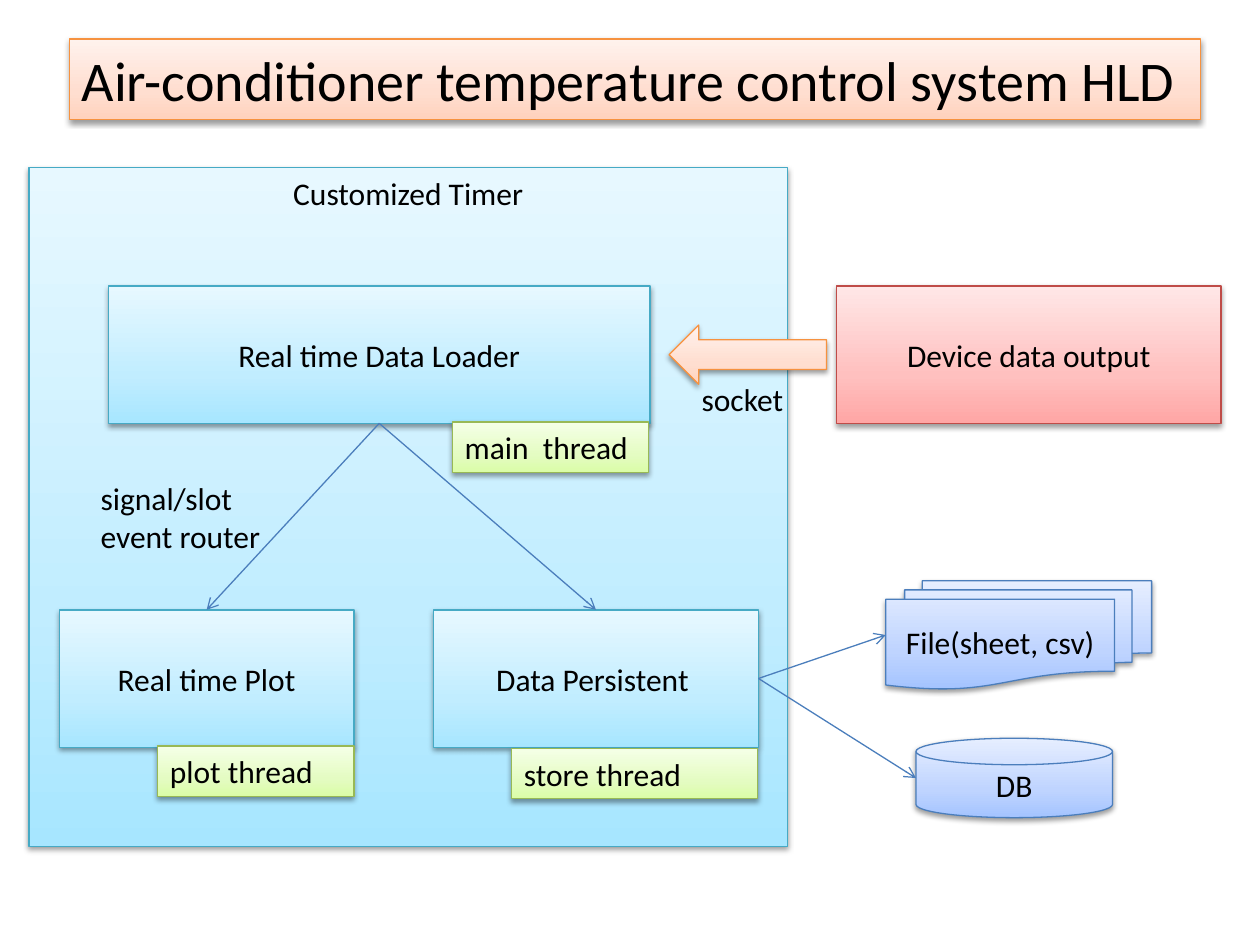
"""Build the high-level design slide of a temperature control system."""
from copy import deepcopy
from typing import NamedTuple

from lxml.etree import SubElement
from pptx import Presentation
from pptx.dml.color import RGBColor
from pptx.enum.shapes import MSO_CONNECTOR as Connector, MSO_SHAPE as Shape
from pptx.enum.text import MSO_ANCHOR as Anchor, PP_ALIGN as Align
from pptx.oxml.ns import qn
from pptx.util import Inches, Pt


class Theme(NamedTuple):
    line: str
    stops: tuple[str, str, str]


class Node(NamedTuple):
    left: float
    top: float
    width: float
    height: float
    theme: Theme | None
    text: str = ""
    kind: Shape = Shape.RECTANGLE
    centred: bool = True
    anchor: Anchor = Anchor.MIDDLE
    size: int = 18


AQUA = Theme("46AAC5", ("A7E6FF", "C1EDFF", "E7F8FF"))
RED = Theme("BF4C48", ("FFA6A5", "FFC0BF", "FFE7E7"))
ORANGE = Theme("F69240", ("FFD2BD", "FFDED0", "FFF2ED"))
GREEN = Theme("98B955", ("DAFDA7", "E4FCC2", "F5FFE7"))
BLUE = Theme("4B7EBC", ("A4C4FF", "BFD4FF", "E6EEFF"))
STOP_POSITIONS = (0, 0.35, 1)


def colour(value: str) -> RGBColor:
    return RGBColor.from_string(value)


def label(left: float, top: float, width: float, height: float, text: str,
          theme: Theme | None = GREEN, size: int = 18) -> Node:
    return Node(left, top, width, height, theme, text, centred=False, anchor=Anchor.TOP, size=size)


def paint(shape, theme: Theme) -> None:
    shape.fill.gradient()
    shape.fill.gradient_angle = 90
    stop_list = shape.element.spPr.find(".//" + qn("a:gsLst"))
    stop_list.append(deepcopy(stop_list[0]))
    for stop, position, value in zip(shape.fill.gradient_stops, STOP_POSITIONS, theme.stops):
        stop.position = position
        stop.color.rgb = colour(value)
    shape.line.color.rgb = colour(theme.line)
    shape.line.width = Pt(0.75)
    shape.shadow.inherit = False
    effects = shape.element.spPr.find(qn("a:effectLst"))
    shadow = SubElement(effects, qn("a:outerShdw"), blurRad=str(Pt(3.1)), dist=str(Pt(1.6)),
                        dir="5400000", rotWithShape="0")
    black = SubElement(shadow, qn("a:srgbClr"), val="000000")
    SubElement(black, qn("a:alpha"), val="38000")


def draw_node(page, node: Node) -> None:
    bounds = [Inches(length) for length in node[:4]]
    if node.theme:
        box = page.shapes.add_shape(node.kind, *bounds)
        paint(box, node.theme)
    else:
        box = page.shapes.add_textbox(*bounds)
    frame = box.text_frame
    frame.word_wrap = True
    frame.vertical_anchor = node.anchor
    frame.text = node.text
    for para in frame.paragraphs:
        para.alignment = Align.CENTER if node.centred else Align.LEFT
        para.font.name = "Calibri"
        para.font.size = Pt(node.size)
        para.font.color.rgb = colour("000000")


def draw_arrow(page, start: tuple[float, float], end: tuple[float, float]) -> None:
    points = [Inches(length) for length in (*start, *end)]
    arrow = page.shapes.add_connector(Connector.STRAIGHT, *points)
    arrow.line.color.rgb = colour(BLUE.line)
    arrow.line.width = Pt(0.75)
    properties = arrow.element.spPr
    SubElement(properties.find(qn("a:ln")), qn("a:tailEnd"), type="arrow")
    SubElement(properties, qn("a:effectLst"))


def top_of(node: Node) -> tuple[float, float]:
    return node.left + node.width / 2, node.top


def bottom_of(node: Node) -> tuple[float, float]:
    return node.left + node.width / 2, node.top + node.height


def left_of(node: Node) -> tuple[float, float]:
    return node.left, node.top + node.height / 2


def right_of(node: Node) -> tuple[float, float]:
    return node.left + node.width, node.top + node.height / 2


def main() -> None:
    deck = Presentation()
    deck.slide_width, deck.slide_height = Inches(10), Inches(7.5)
    page = deck.slides.add_slide(deck.slide_layouts[6])

    timer = Node(0.23, 1.33, 6.02, 5.39, AQUA, "Customized Timer", anchor=Anchor.TOP)
    loader = Node(0.86, 2.27, 4.3, 1.09, AQUA, "Real time Data Loader")
    plot = Node(0.47, 4.84, 2.34, 1.09, AQUA, "Real time Plot")
    store = Node(3.44, 4.84, 2.58, 1.09, AQUA, "Data Persistent ")
    device = Node(6.64, 2.27, 3.05, 1.09, RED, "Device data output")
    socket = Node(5.31, 2.58, 1.25, 0.47, ORANGE, kind=Shape.LEFT_ARROW)
    files = Node(7.03, 4.61, 2.11, 0.86, BLUE, "File(sheet, csv)", Shape.FLOWCHART_MULTIDOCUMENT)
    database = Node(7.27, 5.86, 1.56, 0.63, BLUE, "DB", Shape.FLOWCHART_MAGNETIC_DISK)
    labels = (
        label(0.7, 3.75, 1.72, 0.71, "signal/slot\nevent router", None),
        label(3.59, 3.35, 1.56, 0.4, "main  thread"),
        label(1.25, 5.92, 1.56, 0.4, "plot thread"),
        label(4.06, 5.94, 1.95, 0.4, "store thread"),
        label(5.47, 2.97, 0.86, 0.4, "socket", None),
        label(0.55, 0.31, 8.98, 0.64, "Air-conditioner temperature control system HLD", ORANGE, 32),
    )
    for node in (timer, loader, plot, store, device, socket, files, database, *labels):
        draw_node(page, node)
    for target in (plot, store):
        draw_arrow(page, bottom_of(loader), top_of(target))
    for target in (files, database):
        draw_arrow(page, right_of(store), left_of(target))

    deck.save("out.pptx")


main()
